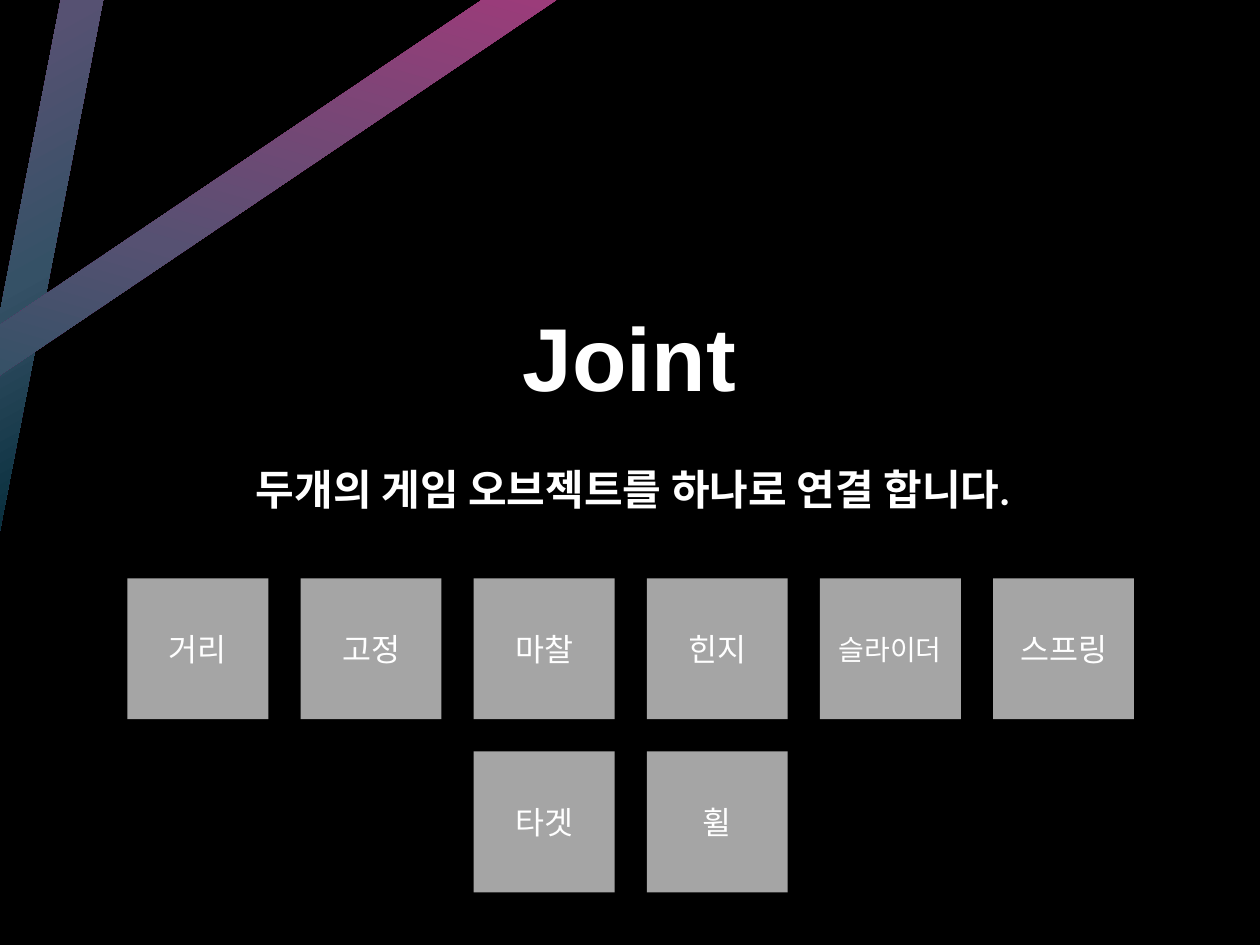
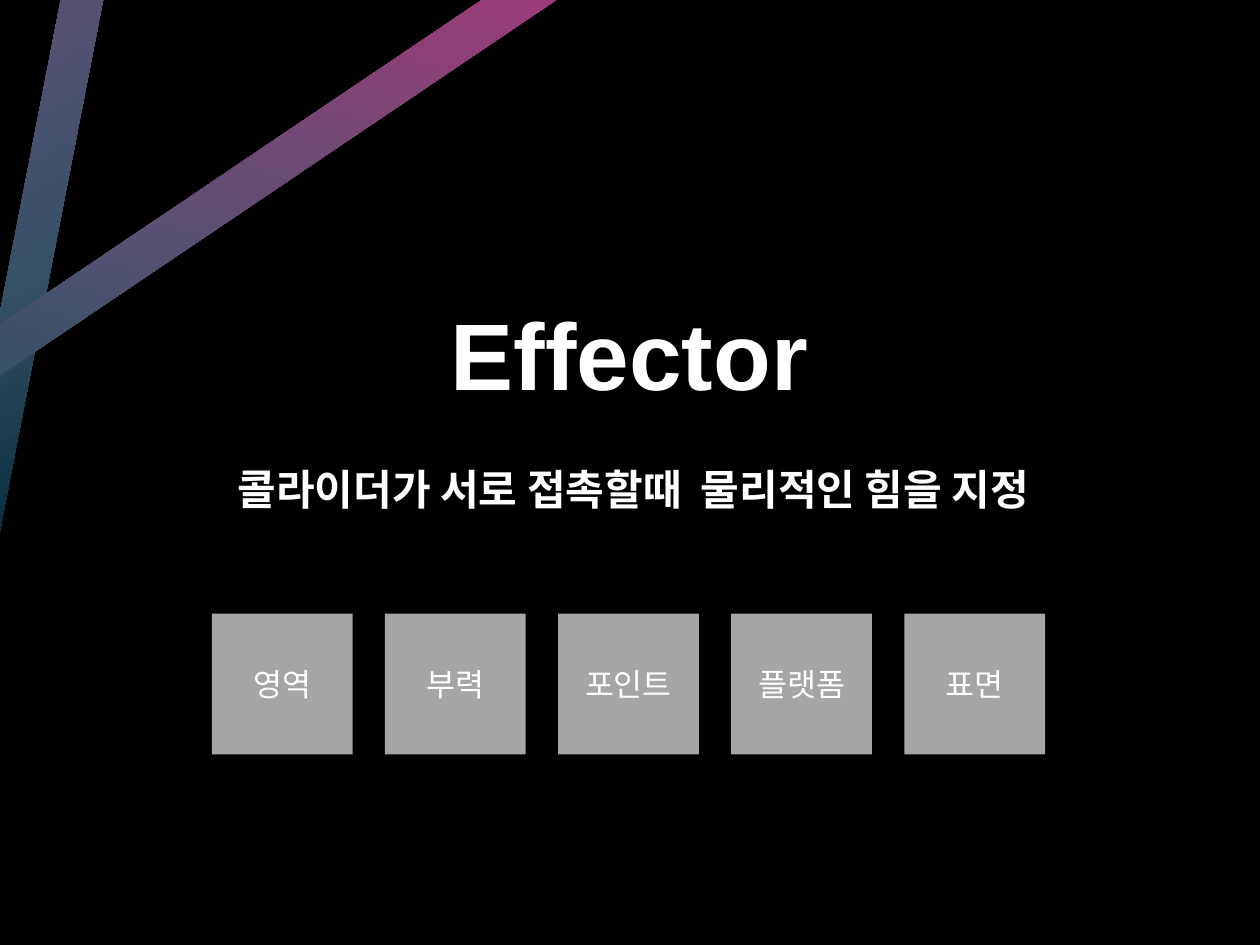
"""Build two slides that introduce the Joint and Effector component types."""
from copy import deepcopy

from pptx import Presentation
from pptx.dml.color import RGBColor
from pptx.enum.shapes import MSO_SHAPE
from pptx.enum.text import MSO_ANCHOR, MSO_AUTO_SIZE, PP_ALIGN
from pptx.oxml import parse_xml
from pptx.oxml.ns import nsdecls, qn
from pptx.util import Cm, Pt

COLOURS = {
    "background": "000000",
    "text": "FFFFFF",
    "tile": "A5A5A5",
    "pink": "B7337D",
    "violet": "565172",
    "teal": "355166",
    "navy": "002835",
}
BAND_STOPS = [(0, "pink"), (44, "violet"), (60, "teal"), (79, "navy"), (100, "navy")]
BANDS = [(0.81, -11.58, 11), (1.32, -7.87, 56)]
BAND_WIDTH, BAND_LENGTH = 0.84, 27.51
TILE_SIZE, TILE_PITCH = 2.84, 3.49

TOPICS = [
    {
        "title": "Joint",
        "title_size": 51,
        "summary": "두개의 게임 오브젝트를 하나로 연결 합니다.",
        "left": 2.57,
        "top": 11.66,
        "rows": [(0, ["거리", "고정", "마찰", "힌지", "슬라이더", "스프링"]), (2, ["타겟", "휠"])],
    },
    {
        "title": "Effector",
        "title_size": 54,
        "summary": "콜라이더가 서로 접촉할때  물리적인 힘을 지정",
        "left": 4.27,
        "top": 12.37,
        "rows": [(0, ["영역", "부력", "포인트", "플랫폼", "표면"])],
    },
]


def write(shape, text, size, font_name, bold, anchor, line_spacing):
    frame = shape.text_frame
    frame.text = text
    frame.word_wrap = True
    frame.auto_size = MSO_AUTO_SIZE.NONE
    frame.vertical_anchor = anchor
    paragraph = frame.paragraphs[0]
    paragraph.alignment = PP_ALIGN.CENTER
    paragraph.line_spacing = line_spacing
    paragraph.font.size = Pt(size)
    paragraph.font.name = font_name
    paragraph.font.bold = bold
    paragraph.font.color.rgb = RGBColor.from_string(COLOURS["text"])


def add_rectangle(slide, left, top, width, height):
    rectangle = slide.shapes.add_shape(
        MSO_SHAPE.RECTANGLE, Cm(left), Cm(top), Cm(width), Cm(height))
    rectangle.shadow.inherit = False
    rectangle.line.fill.background()
    rectangle.fill.solid()
    rectangle.fill.fore_color.rgb = RGBColor.from_string(COLOURS["tile"])
    return rectangle


stops = "".join(
    f'<a:gs pos="{percent * 1000}"><a:srgbClr val="{COLOURS[colour]}"/></a:gs>'
    for percent, colour in BAND_STOPS)
band_gradient = parse_xml(
    f'<a:gradFill {nsdecls("a")} rotWithShape="1"><a:gsLst>{stops}</a:gsLst>'
    f'<a:lin ang="{50 * 60000}" scaled="0"/></a:gradFill>')

presentation = Presentation()
presentation.slide_width = Cm(25.4)
presentation.slide_height = Cm(19.05)
backdrop = presentation.slide_master.background.fill
backdrop.solid()
backdrop.fore_color.rgb = RGBColor.from_string(COLOURS["background"])
title_only = presentation.slide_layouts[5]

for topic in TOPICS:
    slide = presentation.slides.add_slide(title_only)

    for left, top, angle in BANDS:
        band = add_rectangle(slide, left, top, BAND_WIDTH, BAND_LENGTH)
        band.rotation = angle
        properties = band.fill._xPr
        properties.replace(properties.find(qn("a:solidFill")), deepcopy(band_gradient))

    title = slide.shapes.title
    title.left, title.top, title.width, title.height = Cm(7.37), Cm(4.78), Cm(10.64), Cm(3.63)
    write(title, topic["title"], topic["title_size"], "Arial", True, MSO_ANCHOR.BOTTOM, 0.9)

    summary = slide.shapes.add_textbox(Cm(1.27), Cm(8.69), Cm(22.99), Cm(1.8))
    write(summary, topic["summary"], 24, "Calibri", True, MSO_ANCHOR.BOTTOM, 0.9)

    for row, (first_column, kinds) in enumerate(topic["rows"]):
        for column, kind in enumerate(kinds, first_column):
            tile = add_rectangle(
                slide, topic["left"] + column * TILE_PITCH, topic["top"] + row * TILE_PITCH,
                TILE_SIZE, TILE_SIZE)
            size = 16 if len(kind) > 3 else 18
            write(tile, kind, size, "Calibri", False, MSO_ANCHOR.MIDDLE, 1.0)

presentation.save("out.pptx")
